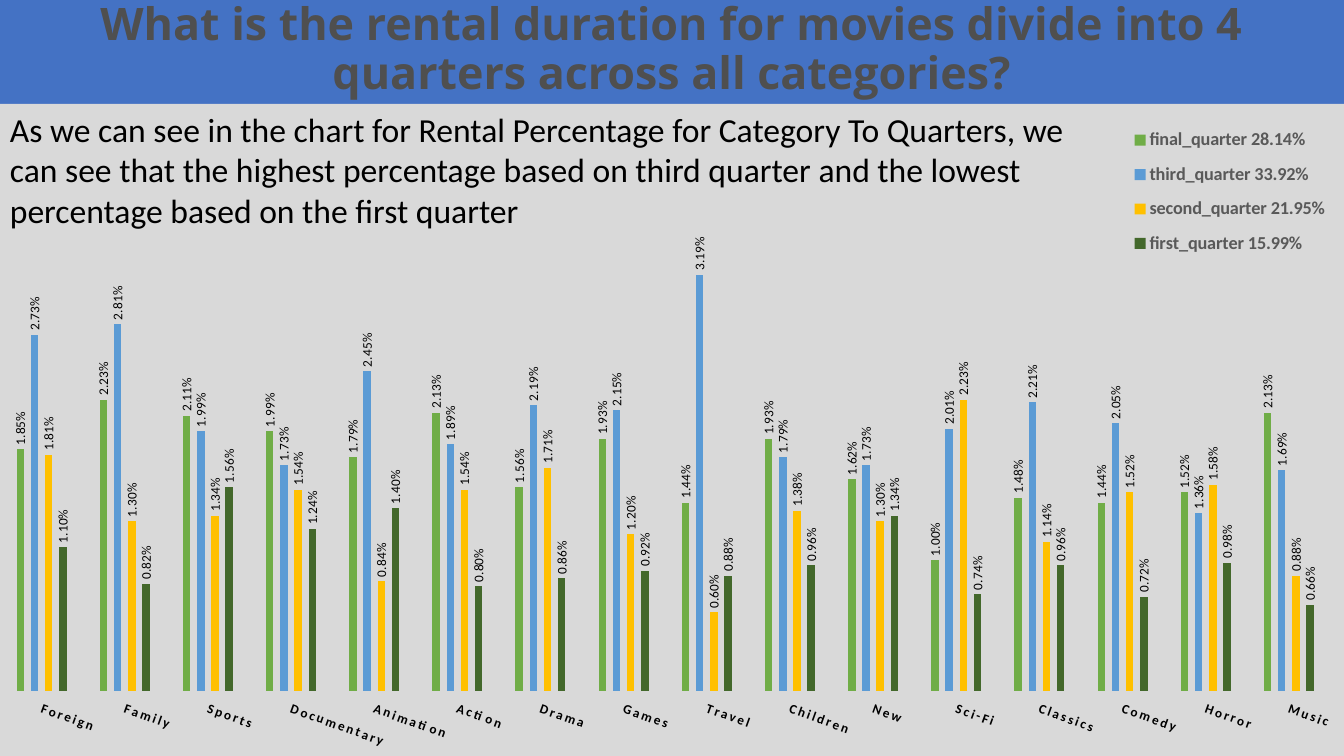
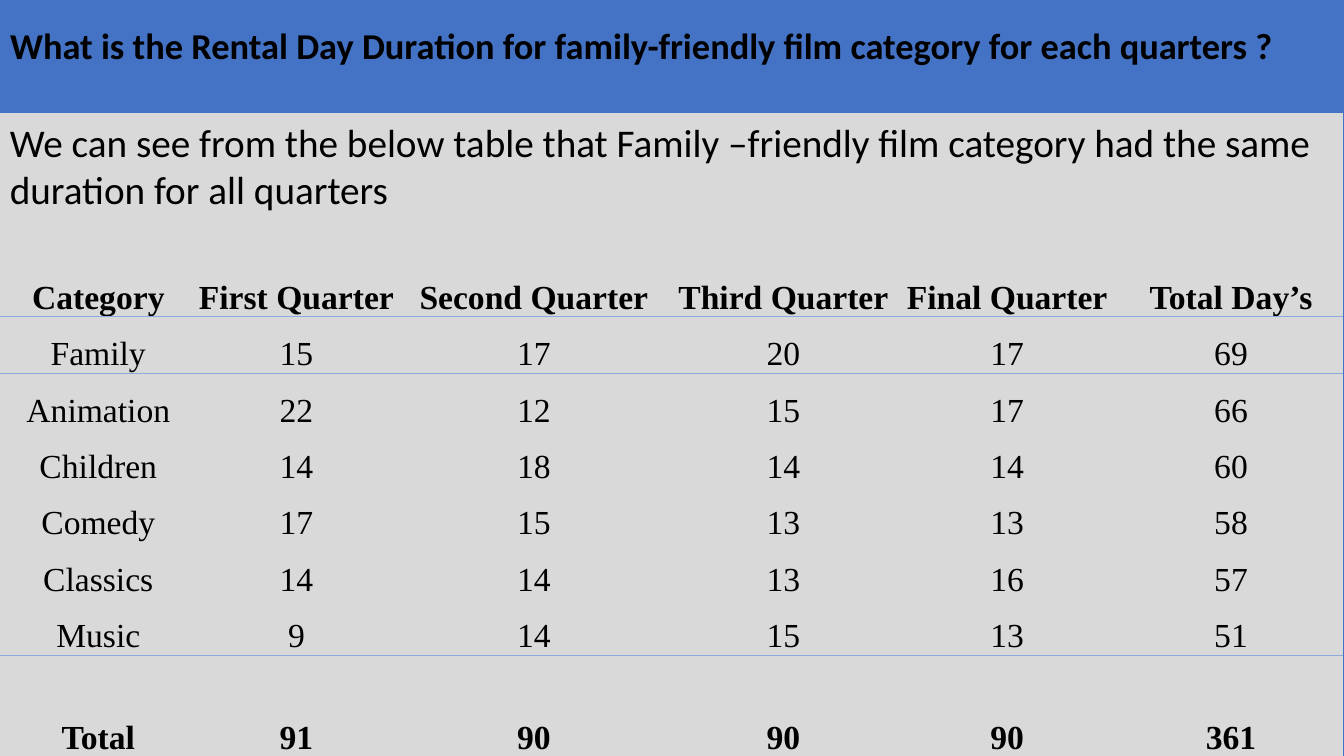
from lxml.etree import SubElement
from pptx import Presentation
from pptx.chart.data import CategoryChartData
from pptx.dml.color import RGBColor
from pptx.enum.chart import (XL_CHART_TYPE as ChartType, XL_LABEL_POSITION as LabelAt,
                             XL_LEGEND_POSITION as LegendAt, XL_TICK_LABEL_POSITION as TickLabelAt,
                             XL_TICK_MARK as TickMark)
from pptx.enum.text import MSO_ANCHOR as Anchor, MSO_AUTO_SIZE as AutoSize, PP_ALIGN as Align
from pptx.oxml import parse_xml
from pptx.oxml.ns import nsdecls, qn
from pptx.util import Inches, Pt

WIDTH, HEIGHT = 13.33, 7.5
BLUE, GRAY, INK, RULE = "4472C4", "D9D9D9", "000000", "8EA9DB"
PLAIN_TABLE = "{2D5ABB26-0587-4C30-8999-92F81FD0307C}"


def rgb(value):
    return RGBColor.from_string(value)


def style_font(font, size, color=INK, name="Calibri", bold=False):
    font.size, font.name, font.bold = Pt(size), name, bold
    font.color.rgb = rgb(color)


def write(frame, text, align=Align.LEFT, spacing=1.0, **style):
    """Put one formatted paragraph into a text frame."""
    paragraph = frame.paragraphs[0]
    paragraph.alignment, paragraph.line_spacing = align, spacing
    run = paragraph.add_run()
    run.text = text
    style_font(run.font, **style)


def set_layout(parent, index, x, y, w, h, inner=False):
    """Place a chart part by fractions of the chart's size."""
    for old in parent.findall(qn("c:layout")):
        parent.remove(old)
    layout = parse_xml(f"<c:layout {nsdecls('c')}><c:manualLayout/></c:layout>")
    settings = {"layoutTarget": "inner"} if inner else {}
    settings.update(xMode="edge", yMode="edge", x=x, y=y, w=w, h=h)
    for tag, value in settings.items():
        SubElement(layout[0], qn(f"c:{tag}")).set("val", str(value))
    parent.insert(index, layout)


def rotate_labels(labels_xml, degrees):
    labels_xml.find(qn("c:txPr")).find(qn("a:bodyPr")).set("rot", str(degrees * 60000))


def rule_cell(cell, side):
    """Draw a thin rule on the top (T) or bottom (B) of a cell."""
    cell._tc.get_or_add_tcPr().insert(0, parse_xml(
        f'<a:ln{side} {nsdecls("a")} w="6350"><a:solidFill><a:srgbClr val="{RULE}"/>'
        f'</a:solidFill></a:ln{side}>'))


class Deck:
    def __init__(self):
        self.prs = Presentation()
        self.prs.slide_width, self.prs.slide_height = Inches(WIDTH), Inches(HEIGHT)
        self.slide = None

    def new_slide(self, title, band, bottom_inset=0.05, **style):
        """Blue slide whose title fills the band at the top."""
        self.slide = self.prs.slides.add_slide(self.prs.slide_layouts[5])
        fill = self.slide.background.fill
        fill.solid()
        fill.fore_color.rgb = rgb(BLUE)
        heading = self.slide.shapes.title
        heading.left, heading.top = Inches(0), Inches(0)
        heading.width, heading.height = Inches(WIDTH), Inches(band)
        frame = heading.text_frame
        frame.auto_size, frame.vertical_anchor = AutoSize.NONE, Anchor.BOTTOM
        frame.margin_bottom = Inches(bottom_inset)
        write(frame, title, spacing=0.9, bold=True, **style)

    def finding(self, text, top, width, height, size):
        box = self.slide.shapes.add_textbox(Inches(0), Inches(top), Inches(width), Inches(height))
        box.text_frame.word_wrap = True
        write(box.text_frame, text, size=size)

    def column_chart(self, top, categories, series):
        """Clustered columns; series holds (name, percentages, colour)."""
        data = CategoryChartData(number_format="0.00%")
        data.categories = categories
        for name, percentages, _ in series:
            data.add_series(name, [round(p / 100, 4) for p in percentages])
        chart = self.slide.shapes.add_chart(
            ChartType.COLUMN_CLUSTERED, Inches(0), Inches(top),
            Inches(WIDTH), Inches(HEIGHT - top), data).chart
        chart.has_title = False
        style_font(chart.font, 9.5)
        chart._chartSpace.find(qn("c:chart")).addnext(parse_xml(
            f'<c:spPr {nsdecls("c", "a")}><a:solidFill><a:srgbClr val="{GRAY}"/></a:solidFill>'
            '<a:ln><a:noFill/></a:ln></c:spPr>'))

        # Columns and their upright values
        plot = chart.plots[0]
        plot.gap_width, plot.overlap, plot.vary_by_categories = 444, -90, False
        for column, (_, _, color) in zip(plot.series, series):
            column.format.fill.solid()
            column.format.fill.fore_color.rgb = rgb(color)
            labels = column.data_labels
            labels.show_value, labels.position = True, LabelAt.OUTSIDE_END
            labels.number_format, labels.number_format_is_linked = "0.00%", False
            style_font(labels.font, 9.5)
            rotate_labels(labels._element, -90)

        # Axes
        values = chart.value_axis
        values.visible, values.has_major_gridlines = False, False
        values.minimum_scale, values.maximum_scale = 0, 0.035
        names = chart.category_axis
        names.major_tick_mark = names.minor_tick_mark = TickMark.NONE
        names.tick_label_position = TickLabelAt.LOW
        names.format.line.fill.background()
        style_font(names.tick_labels.font, 9.5, bold=True)
        names.tick_labels.font._element.set("spc", "150")
        rotate_labels(names._element, 20)

        # Legend and plot position
        chart.has_legend = True
        legend = chart.legend
        legend.position, legend.include_in_layout = LegendAt.CORNER, False
        style_font(legend.font, 13, color="595959", bold=True)
        set_layout(legend._element, 1, 0.83, 0.02, 0.17, 0.23)
        set_layout(chart._chartSpace.chart.plotArea, 0, 0, 0.2, 0.99, 0.7, inner=True)

    def table(self, top, widths, heights, rows, ruled_rows):
        """Table under an open band; ruled_rows get a rule below them."""
        table = self.slide.shapes.add_table(
            len(heights), len(widths), Inches(0), Inches(top),
            Inches(sum(widths)), Inches(sum(heights))).table
        table.first_row = table.horz_banding = False
        table._tbl.tblPr.find(qn("a:tableStyleId")).text = PLAIN_TABLE
        for column, width in zip(table.columns, widths):
            column.width = Inches(width)
        for row, height in zip(table.rows, heights):
            row.height = Inches(height)
        for cell in table.iter_cells():
            cell.fill.solid()
            cell.fill.fore_color.rgb = rgb(GRAY)
        table.cell(0, 0).merge(table.cell(0, len(widths) - 1))
        for r, row in enumerate(rows, 1):
            for c, value in enumerate(row):
                cell = table.cell(r, c)
                cell.vertical_anchor = Anchor.BOTTOM
                cell.margin_left = cell.margin_right = cell.margin_top = Inches(0.01)
                cell.margin_bottom = Inches(0)
                write(cell.text_frame, str(value), align=Align.CENTER, size=24,
                      name="Times New Roman", bold=r in (1, len(rows)))
                if r in ruled_rows:
                    rule_cell(cell, "B")
                if r - 1 in ruled_rows:
                    rule_cell(cell, "T")


CATEGORIES = ["Foreign", "Family", "Sports", "Documentary", "Animation", "Action", "Drama",
              "Games", "Travel", "Children", "New", "Sci-Fi", "Classics", "Comedy", "Horror",
              "Music"]
QUARTERS = [
    ("final_quarter 28.14%", [1.85, 2.23, 2.11, 1.99, 1.79, 2.13, 1.56, 1.93, 1.44, 1.93, 1.62,
                              1.00, 1.48, 1.44, 1.52, 2.13], "70AD47"),
    ("third_quarter 33.92%", [2.73, 2.81, 1.99, 1.73, 2.45, 1.89, 2.19, 2.15, 3.19, 1.79, 1.73,
                              2.01, 2.21, 2.05, 1.36, 1.69], "5B9BD5"),
    ("second_quarter 21.95%", [1.81, 1.30, 1.34, 1.54, 0.84, 1.54, 1.71, 1.20, 0.60, 1.38, 1.30,
                               2.23, 1.14, 1.52, 1.58, 0.88], "FFC000"),
    ("first_quarter 15.99%", [1.10, 0.82, 1.56, 1.24, 1.40, 0.80, 0.86, 0.92, 0.88, 0.96, 1.34,
                              0.74, 0.96, 0.72, 0.98, 0.66], "43682B"),
]
RENTAL_DAYS = [
    ("Category", "First Quarter", "Second Quarter", "Third Quarter", "Final Quarter",
     "Total Day’s"),
    ("Family", 15, 17, 20, 17, 69),
    ("Animation", 22, 12, 15, 17, 66),
    ("Children", 14, 18, 14, 14, 60),
    ("Comedy", 17, 15, 13, 13, 58),
    ("Classics", 14, 14, 13, 16, 57),
    ("Music", 9, 14, 15, 13, 51),
    ("Total", 91, 90, 90, 90, 361),
]


def main():
    deck = Deck()

    # Rental share by category and quarter
    band = 1.03
    deck.new_slide("What is the rental duration for movies divide into 4 quarters across all "
                   "categories?", band, align=Align.CENTER, size=32, color="4F4F4F",
                   name="Open Sans")
    deck.column_chart(band, CATEGORIES, QUARTERS)
    deck.finding("As we can see in the chart for Rental Percentage for Category To Quarters, we "
                 "can see that the highest percentage based on third quarter and the lowest "
                 "percentage based on the first quarter", band, 10.9, 1.62, size=24)

    # Rental days of family-friendly films
    band = 1.12
    deck.new_slide("What is the Rental Day Duration for family-friendly film category for each "
                   "quarters ?", band, bottom_inset=0.45, size=26)
    deck.table(band, [1.95, 1.98, 2.73] + [2.22] * 3, [1.01] * 2 + [0.56] * 6 + [1.01],
               RENTAL_DAYS, ruled_rows=(1, 7))
    deck.finding("We can see from the below table that Family –friendly film category had the "
                 "same duration for all quarters", band, WIDTH, 1.04, size=28)

    deck.prs.save("out.pptx")


if __name__ == "__main__":
    main()
